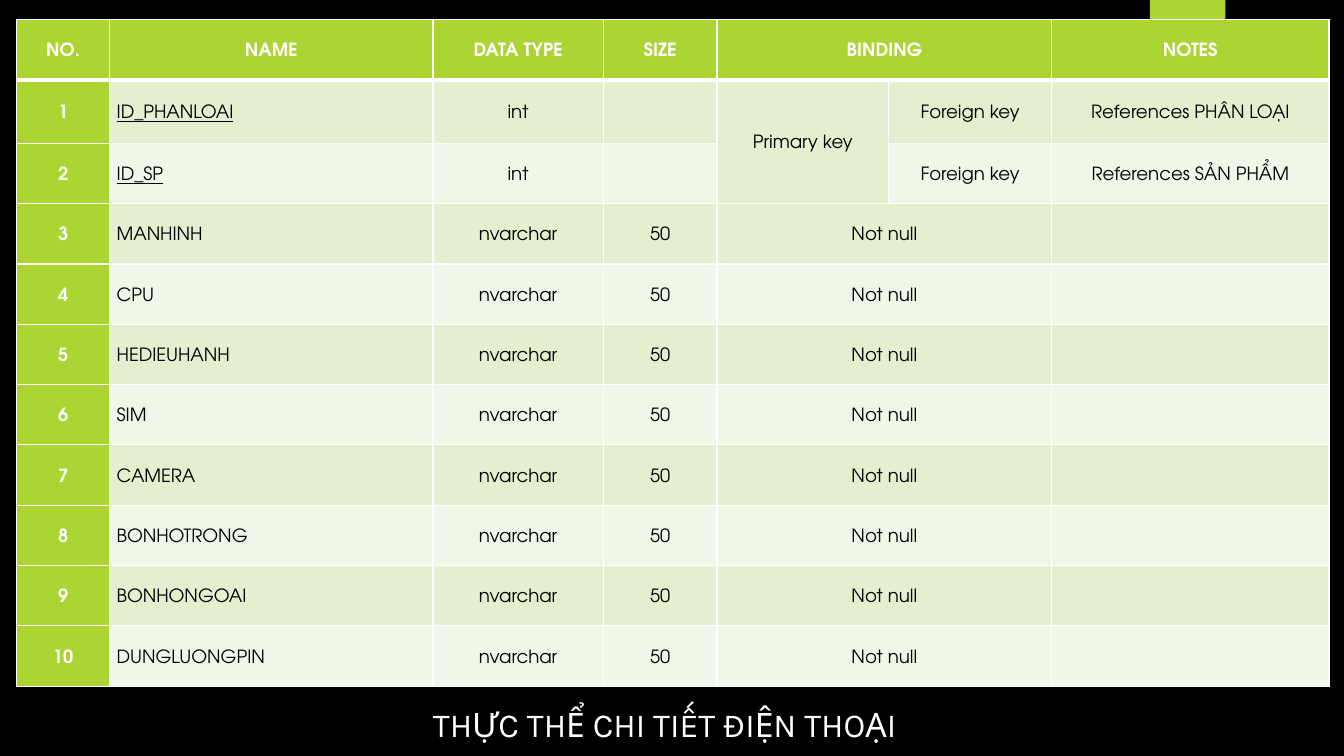
from lxml.etree import SubElement
from pptx import Presentation
from pptx.dml.color import RGBColor
from pptx.enum.shapes import MSO_SHAPE as Shape
from pptx.enum.text import MSO_ANCHOR as Anchor, MSO_AUTO_SIZE as AutoSize, PP_ALIGN as Align
from pptx.oxml.ns import qn
from pptx.util import Cm, Pt

BLACK = RGBColor(0x00, 0x00, 0x00)
WHITE = RGBColor(0xFF, 0xFF, 0xFF)
LIME = RGBColor(0xAC, 0xD4, 0x33)
BAND_DARK = RGBColor(0xE3, 0xEF, 0xCE)
BAND_LIGHT = RGBColor(0xF1, 0xF7, 0xE8)

TABLE_FONT, TITLE_FONT = "TeX Gyre Adventor", "Karla"
COLUMN_WIDTHS = [2.34, 8.15, 4.29, 2.87, 4.32, 4.11, 6.99]
ROW_HEIGHT, FIRST_FIELD_HEIGHT = 1.52, 1.6
NUMBER, NAME, BINDING, FOREIGN = 0, 1, 4, 5

HEADER = ["NO.", "NAME", "DATA TYPE", "SIZE", "BINDING", "", "NOTES"]
KEY_FIELDS = [
    ["1", "ID_PHANLOAI", "int", "", "Primary key", "Foreign key", "References PHÂN LOẠI"],
    ["2", "ID_SP", "int", "", "", "Foreign key", "References SẢN PHẨM"],
]
PLAIN_NAMES = ["MANHINH", "CPU", "HEDIEUHANH", "SIM", "CAMERA",
               "BONHOTRONG", "BONHONGOAI", "DUNGLUONGPIN"]
PLAIN_FIELDS = [[str(number), name, "nvarchar", "50", "Not null", "", ""]
                for number, name in enumerate(PLAIN_NAMES, len(KEY_FIELDS) + 1)]
ROWS = [HEADER, *KEY_FIELDS, *PLAIN_FIELDS]


def set_borders(cell, top, bottom):
    """Draw white cell borders; top and bottom are widths in points."""
    properties = cell._tc.get_or_add_tcPr()
    for tag, width in (("a:lnL", 1), ("a:lnR", 1), ("a:lnT", top), ("a:lnB", bottom)):
        line = SubElement(properties, qn(tag), w=str(Pt(width)))
        SubElement(SubElement(line, qn("a:solidFill")), qn("a:srgbClr"), val=str(WHITE))


def format_cell(cell, row, column, text):
    is_heading = row == 0 or column == NUMBER
    set_borders(cell, top=3 if row == 1 else 1, bottom=3 if row == 0 else 1)
    cell.fill.solid()
    band = BAND_DARK if row % 2 else BAND_LIGHT
    cell.fill.fore_color.rgb = LIME if is_heading else band
    cell.vertical_anchor = Anchor.MIDDLE
    cell.margin_left = cell.margin_right = Cm(0.18)
    cell.margin_top = cell.margin_bottom = 0
    if not text:
        return
    cell.text = text
    paragraph = cell.text_frame.paragraphs[0]
    paragraph.alignment = Align.LEFT if column == NAME and row else Align.CENTER
    paragraph.line_spacing = 1.25
    paragraph.space_after = Pt(8)
    font = paragraph.font
    font.name, font.size, font.bold = TABLE_FONT, Pt(13), is_heading
    font.color.rgb = WHITE if is_heading else BLACK
    font.underline = column == NAME and 1 <= row <= len(KEY_FIELDS)


def add_field_table(slide, left, top, width, height):
    frame = slide.shapes.add_table(len(ROWS), len(HEADER), left, top, width, height)
    table = frame.table
    table.first_row = table.horz_banding = False
    for column, column_width in zip(table.columns, COLUMN_WIDTHS):
        column.width = Cm(column_width)
    for index, row in enumerate(table.rows):
        row.height = Cm(FIRST_FIELD_HEIGHT if index == 1 else ROW_HEIGHT)
    for row, texts in enumerate(ROWS):
        for column, text in enumerate(texts):
            format_cell(table.cell(row, column), row, column, text)
    table.cell(1, BINDING).merge(table.cell(len(KEY_FIELDS), BINDING))
    for row in (0, *range(len(KEY_FIELDS) + 1, len(ROWS))):
        table.cell(row, BINDING).merge(table.cell(row, FOREIGN))


def add_tab(slide, left, top, width, height):
    tab = slide.shapes.add_shape(Shape.RECTANGLE, left, top, width, height)
    tab.shadow.inherit = False
    tab.fill.solid()
    tab.fill.fore_color.rgb = LIME
    tab.line.fill.background()


def place_title(slide, left, top, width, height):
    title = slide.shapes.title
    title.left, title.top, title.width, title.height = left, top, width, height
    frame = title.text_frame
    frame.text = "THỰC THỂ CHI TIẾT ĐIỆN THOẠI"
    frame.word_wrap = True
    frame.auto_size = AutoSize.SHAPE_TO_FIT_TEXT
    frame.vertical_anchor = Anchor.MIDDLE
    paragraph = frame.paragraphs[0]
    paragraph.alignment = Align.CENTER
    paragraph.font.name, paragraph.font.size = TITLE_FONT, Pt(24)
    paragraph.font.color.rgb = WHITE


def main():
    presentation = Presentation()
    presentation.slide_width, presentation.slide_height = Cm(33.87), Cm(19.05)
    slide = presentation.slides.add_slide(presentation.slide_layouts[5])
    slide.background.fill.solid()
    slide.background.fill.fore_color.rgb = BLACK
    add_tab(slide, Cm(28.98), 0, Cm(1.9), Cm(3.18))
    place_title(slide, Cm(10.08), Cm(17.6), Cm(13.34), Cm(1.27))
    add_field_table(slide, Cm(0.42), Cm(0.49), Cm(sum(COLUMN_WIDTHS)),
                    Cm(ROW_HEIGHT * (len(ROWS) - 1) + FIRST_FIELD_HEIGHT))
    presentation.save("out.pptx")


if __name__ == "__main__":
    main()
